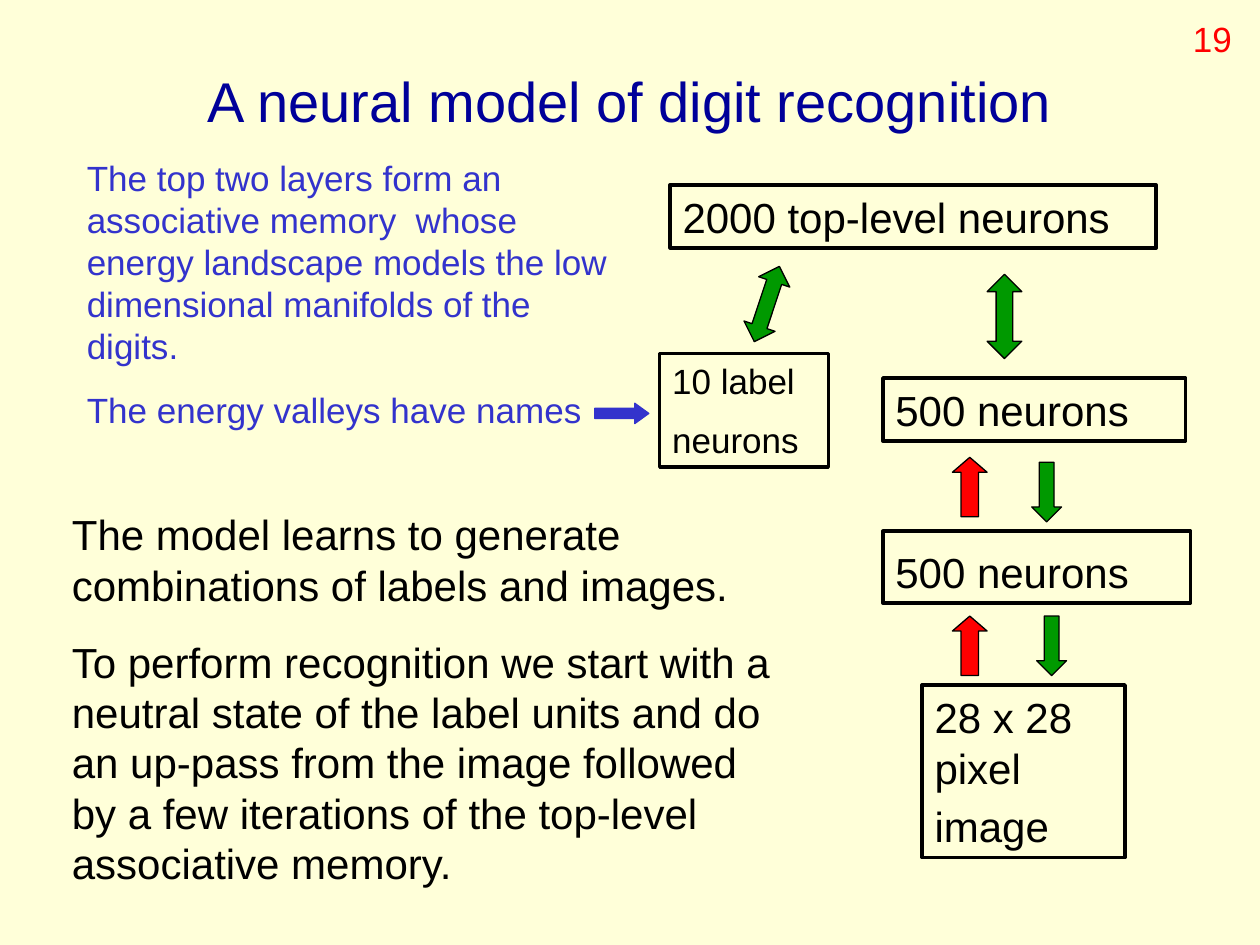
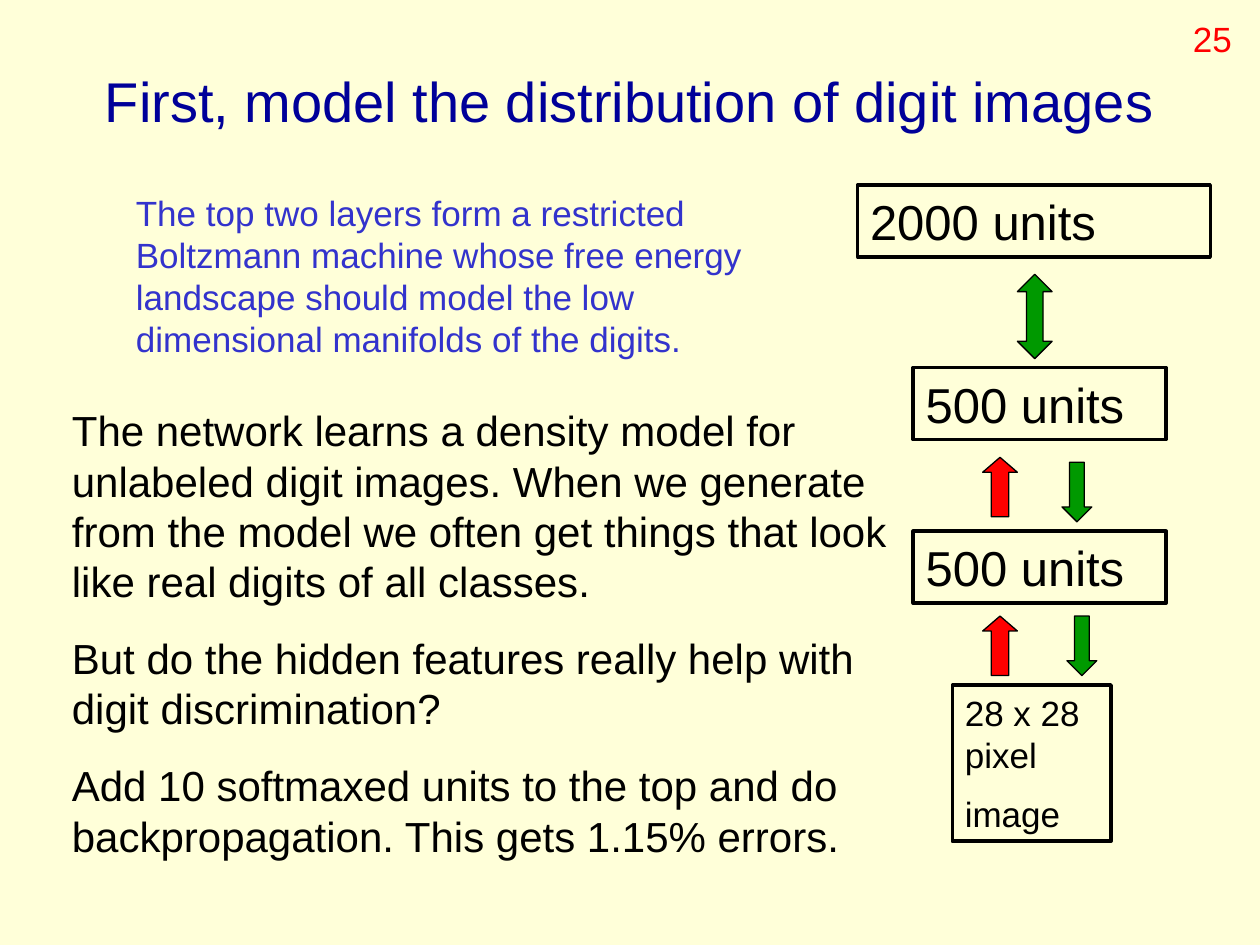
from dataclasses import dataclass

from pptx import Presentation
from pptx.dml.color import RGBColor
from pptx.enum.shapes import MSO_SHAPE
from pptx.enum.text import MSO_ANCHOR, PP_ALIGN
from pptx.util import Cm, Pt

RECTANGLE = MSO_SHAPE.RECTANGLE
UP = MSO_SHAPE.UP_ARROW
DOWN = MSO_SHAPE.DOWN_ARROW
UP_DOWN = MSO_SHAPE.UP_DOWN_ARROW
RIGHT = MSO_SHAPE.RIGHT_ARROW
TOP, MIDDLE, BOTTOM = MSO_ANCHOR.TOP, MSO_ANCHOR.MIDDLE, MSO_ANCHOR.BOTTOM
ALIGN_LEFT, ALIGN_CENTER = PP_ALIGN.LEFT, PP_ALIGN.CENTER


@dataclass(frozen=True)
class Theme:
    font: str = "Arial"
    paper: str = "FFFFD9"
    heading: str = "000099"
    ink: str = "000000"
    comment: str = "3333CC"
    alert: str = "FF0000"
    generative: str = "009900"
    title_size: int = 32
    large: int = 28
    body: int = 24
    small: int = 20
    leading: float = 1.2
    border: float = 2
    hairline: float = 0.75


THEME = Theme()
TITLE_BOX = (1.27, 0.43, 22.86, 3.18)
NUMBER_BOX = (23.8, 0.23, 1.4, 1.12)
PASS_TOPS = (5.49, 8.69)
DOWN_PASSES = ((3.0, 5.59), (3.1, 8.69))


def rgb(value):
    return RGBColor.from_string(value)


def apply(target, formats):
    for name, value in formats.items():
        setattr(target, name, value)


def shifted(origin, box):
    left, top, width, height = box
    return origin[0] + left, origin[1] + top, width, height


def write(frame, paragraphs, size, color, gap=0, anchor=TOP, align=ALIGN_LEFT):
    apply(frame, {
        "word_wrap": True, "vertical_anchor": anchor,
        "margin_left": Cm(0.25), "margin_right": Cm(0.25),
        "margin_top": Cm(0.13), "margin_bottom": Cm(0.13),
    })
    for index, wording in enumerate(paragraphs):
        paragraph = frame.add_paragraph() if index else frame.paragraphs[0]
        paragraph.text = wording
        apply(paragraph, {
            "alignment": align, "line_spacing": Pt(size * THEME.leading),
            "space_before": Pt(gap if index else 0), "space_after": Pt(0),
        })
        apply(paragraph.font, {"name": THEME.font, "size": Pt(size)})
        paragraph.font.color.rgb = rgb(color)


def add_text(slide, box, paragraphs, size, color, **formats):
    frame = slide.shapes.add_textbox(*map(Cm, box)).text_frame
    write(frame, paragraphs, size, color, **formats)


def add_outlined(slide, preset, box, outline, width):
    outlined = slide.shapes.add_shape(preset, *map(Cm, box))
    outlined.shadow.inherit = False
    outlined.line.color.rgb = rgb(outline)
    outlined.line.width = Pt(width)
    return outlined


def add_layer(slide, box, paragraphs, size):
    layer = add_outlined(slide, RECTANGLE, box, THEME.ink, THEME.border)
    layer.fill.background()
    gap = (THEME.large - size) * THEME.leading
    write(layer.text_frame, paragraphs, size, THEME.ink, gap=gap, anchor=BOTTOM)


def add_arrow(slide, preset, box, color, head, outline=THEME.ink, rotation=0):
    arrow = add_outlined(slide, preset, box, outline, THEME.hairline)
    arrow.fill.solid()
    arrow.fill.fore_color.rgb = rgb(color)
    arrow.adjustments[1] = head
    arrow.rotation = rotation


def add_frame(slide, title, number):
    add_text(slide, TITLE_BOX, [title], THEME.title_size, THEME.heading,
             anchor=MIDDLE, align=ALIGN_CENTER)
    add_text(slide, NUMBER_BOX, [number], THEME.small, THEME.alert)


def add_network(slide, origin, layers):
    for box, paragraphs, size in layers:
        add_layer(slide, shifted(origin, box), paragraphs, size)
    add_arrow(slide, UP_DOWN, shifted(origin, (2.1, 1.8, 0.7, 1.7)),
              THEME.generative, 0.48)
    for top in PASS_TOPS:
        add_arrow(slide, UP, shifted(origin, (1.4, top, 0.7, 1.2)),
                  THEME.alert, 0.43)
    for left, top in DOWN_PASSES:
        add_arrow(slide, DOWN, shifted(origin, (left, top, 0.6, 1.2)),
                  THEME.generative, 0.5)


def add_labels(slide, origin):
    add_layer(slide, shifted(origin, (-4.5, 3.4, 3.4, 2.29)),
              ["10 label", "neurons"], THEME.small)
    add_arrow(slide, UP_DOWN, shifted(origin, (-2.67, 1.6, 0.66, 1.6)),
              THEME.generative, 0.48, rotation=18.4)


def add_commentary(slide, box, paragraphs):
    add_text(slide, box, paragraphs, THEME.small, THEME.comment, gap=12.5)


def add_valley_pointer(slide, commentary):
    add_arrow(slide, RIGHT, shifted(commentary, (10.49, 5.11, 1.09, 0.41)),
              THEME.comment, 0.69, outline=THEME.comment)


def add_explanation(slide, box, paragraphs):
    add_text(slide, box, paragraphs, THEME.body, THEME.ink, gap=15)


def build_recognition(slide):
    network = (17.8, 3.73)
    commentary = (1.5, 3.02, 11.1, 5.79)
    add_frame(slide, "A neural model of digit recognition", "19")
    add_network(slide, network, [
        ((-4.29, 0, 9.8, 1.27), ["2000 top-level neurons"], THEME.body),
        ((0, 3.89, 6.1, 1.27), ["500 neurons"], THEME.body),
        ((0, 6.98, 6.2, 1.45), ["500 neurons"], THEME.body),
        ((0.79, 10.08, 4.09, 3.48), ["28 x 28 pixel", "image"], THEME.body),
    ])
    add_labels(slide, network)
    add_explanation(slide, (1.2, 10.13, 15.01, 7.9), [
        "The model learns to generate combinations of labels and images.",
        "To perform recognition we start with a neutral state of the label "
        "units and do an up-pass from the image followed by a few iterations "
        "of the top-level associative memory.",
    ])
    add_commentary(slide, commentary, [
        "The top two layers form an associative memory  whose energy "
        "landscape models the low dimensional manifolds of the digits.",
        "The energy valleys have names",
    ])
    add_valley_pointer(slide, commentary)


def build_distribution(slide):
    add_frame(slide, "First, model the distribution of digit images", "25")
    add_network(slide, (18.41, 3.73), [
        ((-1.12, 0, 7.11, 1.45), ["2000 units"], THEME.large),
        ((0, 3.68, 5.1, 1.45), ["500 units"], THEME.large),
        ((0, 6.98, 5.1, 1.45), ["500 units"], THEME.large),
        ((0.79, 10.08, 3.2, 3.15), ["28 x 28 pixel", "image"], THEME.small),
    ])
    add_explanation(slide, (1.2, 8.03, 17, 9.45), [
        "The network learns a density model for unlabeled digit images. When "
        "we generate from the model we often get things that look like real "
        "digits of all classes.",
        "But do the hidden features really help with digit discrimination?",
        "Add 10 softmaxed units to the top and do backpropagation. This gets "
        "1.15% errors.",
    ])
    add_commentary(slide, (2.49, 3.73, 13, 3.66), [
        "The top two layers form a restricted Boltzmann machine whose free "
        "energy landscape should model the low dimensional manifolds of the "
        "digits.",
    ])


def main():
    deck = Presentation()
    apply(deck, {"slide_width": Cm(25.4), "slide_height": Cm(19.05)})
    paper = deck.slide_master.background.fill
    paper.solid()
    paper.fore_color.rgb = rgb(THEME.paper)
    blank = deck.slide_layouts[6]
    for build in (build_recognition, build_distribution):
        build(deck.slides.add_slide(blank))
    deck.save("out.pptx")


if __name__ == "__main__":
    main()
